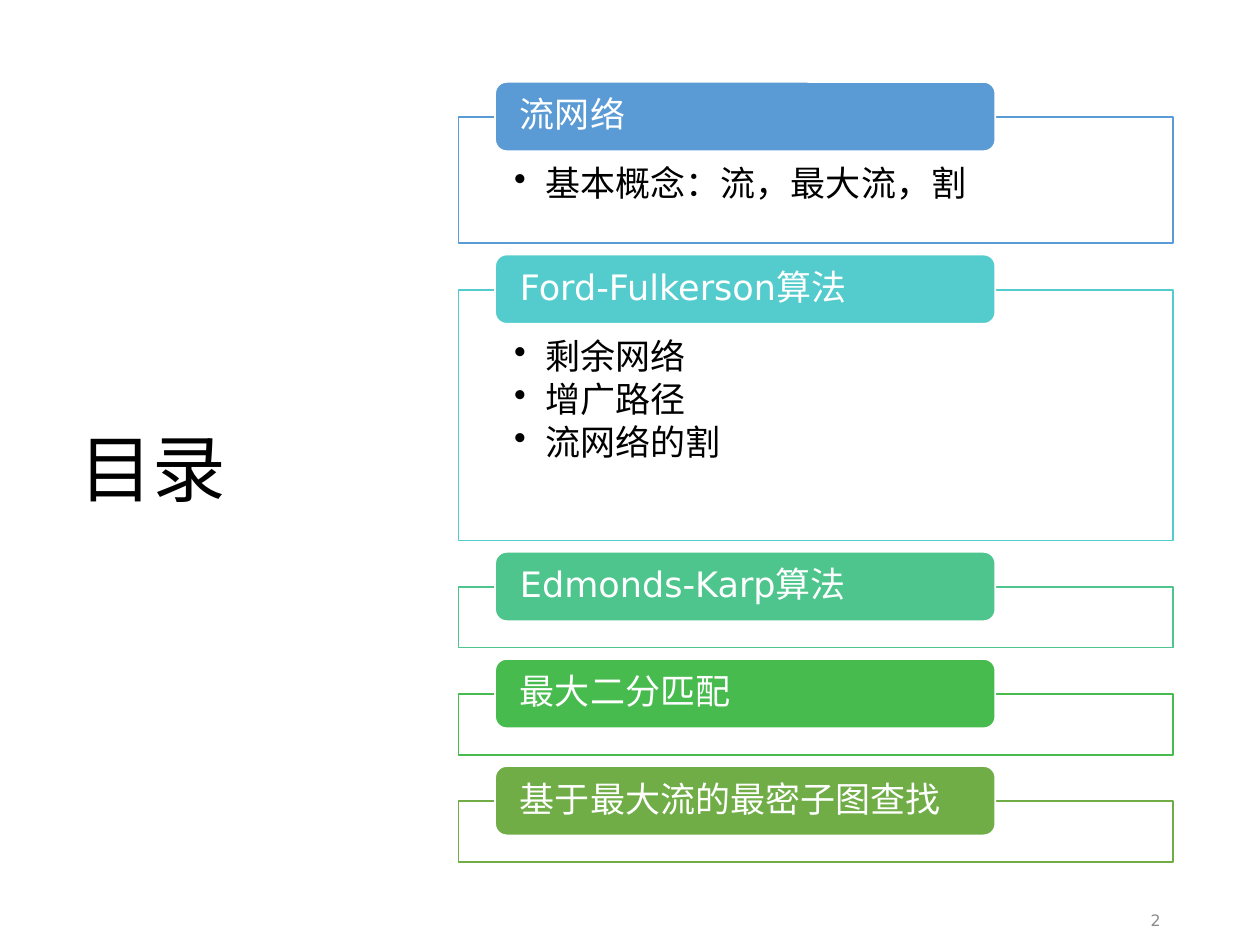
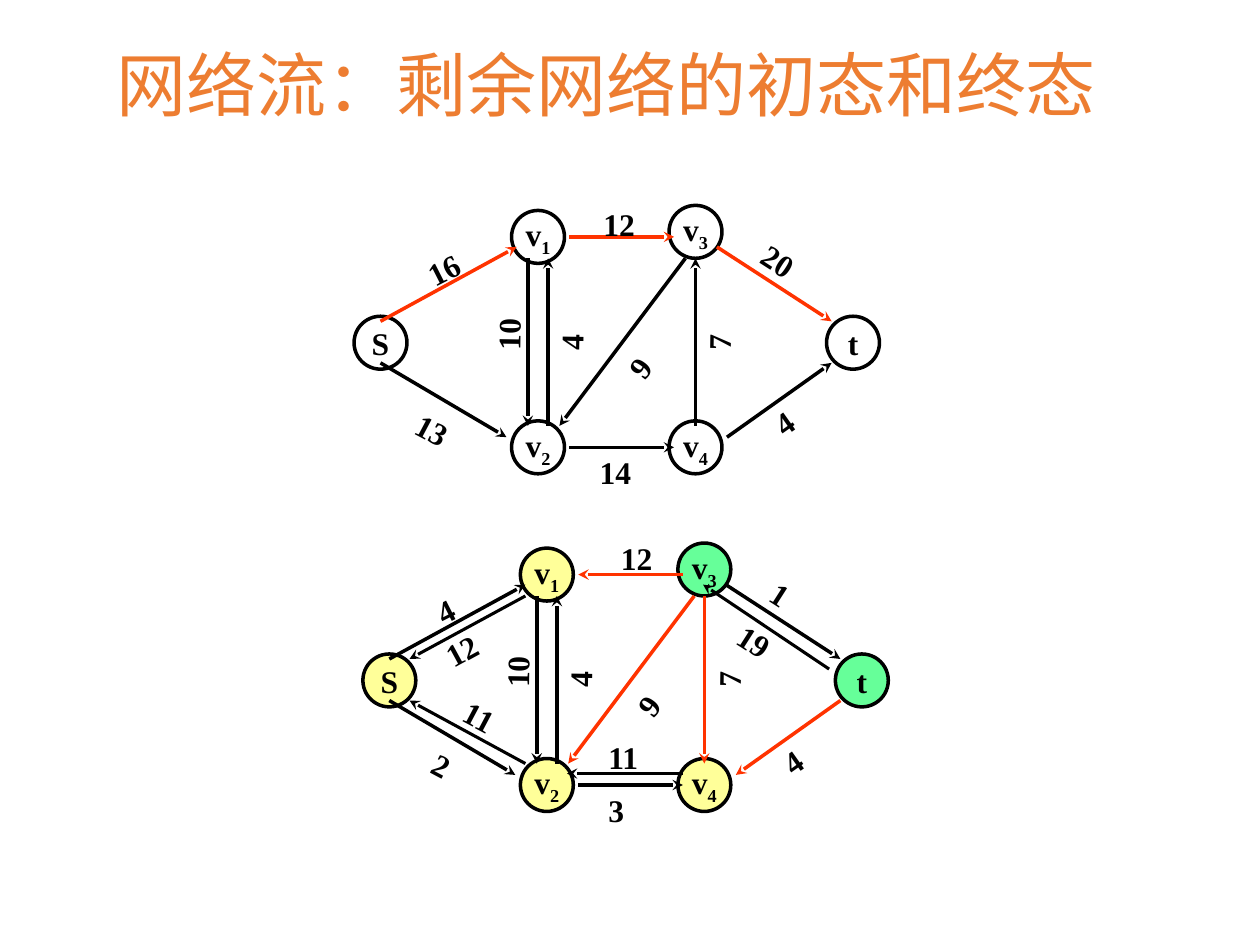
from dataclasses import dataclass

import pptx
import pptx.dml.color
import pptx.enum.shapes
import pptx.enum.text
import pptx.oxml.ns
import pptx.util
from lxml import etree

SHAPE = pptx.enum.shapes.MSO_SHAPE
ANCHOR = pptx.enum.text.MSO_ANCHOR
ALIGN = pptx.enum.text.PP_ALIGN
qn = pptx.oxml.ns.qn


@dataclass(frozen=True)
class Theme:
    px: int = 9144  # 100 px to the inch
    sans: str = "DejaVu Sans"
    mono: str = "DejaVu Sans Mono"
    serif: str = "Times New Roman"
    black: str = "000000"
    white: str = "FFFFFF"
    grey: str = "8C8C8C"
    orange: str = "ED7D31"
    red: str = "FF3300"
    yellow: str = "FFFF99"
    green: str = "66FF99"
    sections: tuple = ("5B9BD5", "54CCCD", "4DC58D", "48BB4F", "70AD47")
    contents_size: int = 42
    title_size: int = 40
    body_size: int = 20
    graph_size: int = 18
    footer_size: int = 9


def rgb(color):
    return pptx.dml.color.RGBColor.from_string(color)


def apply(target, values):
    for name, value in values.items():
        setattr(target, name, value)


class Deck:
    """Holds the theme and the slide being drawn."""

    def __init__(self, theme):
        self.theme = theme
        self.presentation = pptx.Presentation()
        self.presentation.slide_width = self.emu(1000)
        self.presentation.slide_height = self.emu(750)
        self.slide = None

    def emu(self, px):
        return pptx.util.Emu(px * self.theme.px)

    def new_slide(self):
        self.slide = self.presentation.slides.add_slide(self.presentation.slide_layouts[6])

    def fill_text(self, frame, paragraphs, size, color, face, bold=False,
                  bullet=False, layout=None, margins=None, **frame_format):
        """Fill a text frame; a paragraph is a string or a (base, subscript) pair."""
        apply(frame, {"word_wrap": True, **frame_format})
        if margins:
            sides = ("margin_left", "margin_top", "margin_right", "margin_bottom")
            apply(frame, {side: self.emu(px) for side, px in zip(sides, margins)})
        for index, content in enumerate(paragraphs):
            paragraph = frame.add_paragraph() if index else frame.paragraphs[0]
            apply(paragraph, {"alignment": ALIGN.LEFT, **(layout or {})})
            if bullet:
                properties = paragraph._p.get_or_add_pPr()
                properties.set("marL", str(self.emu(25)))
                properties.set("indent", str(self.emu(-25)))
                etree.SubElement(properties, qn("a:buChar")).set("char", "•")
            pieces = (content,) if isinstance(content, str) else content
            for position, piece in enumerate(pieces):
                run = paragraph.add_run()
                run.text = piece
                apply(run.font, {"size": pptx.util.Pt(size), "name": face, "bold": bold})
                run.font.color.rgb = rgb(color)
                if position:
                    run._r.get_or_add_rPr().set("baseline", "-25000")

    def text(self, box, paragraphs, size, color, face, angle=0, **style):
        textbox = self.slide.shapes.add_textbox(*map(self.emu, box))
        textbox.rotation = angle
        self.fill_text(textbox.text_frame, paragraphs, size, color, face, **style)

    def title(self, box, words, size, color):
        self.text(box, [words], size, color, self.theme.mono,
                  vertical_anchor=ANCHOR.MIDDLE, layout={"line_spacing": 0.9})

    def shape(self, kind, box, fill, outline, weight, opacity=100):
        shape = self.slide.shapes.add_shape(kind, *map(self.emu, box))
        shape.shadow.inherit = False
        shape.fill.solid()
        shape.fill.fore_color.rgb = rgb(fill)
        shape.line.color.rgb = rgb(outline)
        shape.line.width = pptx.util.Pt(weight)
        if opacity < 100:
            color = shape._element.spPr.find(qn("a:solidFill"))[0]
            etree.SubElement(color, qn("a:alpha")).set("val", str(opacity * 1000))
        return shape

    def arrow(self, start, end, color, weight):
        connector = self.slide.shapes.add_connector(
            pptx.enum.shapes.MSO_CONNECTOR.STRAIGHT, *map(self.emu, (*start, *end)))
        connector.line.color.rgb = rgb(color)
        connector.line.width = pptx.util.Pt(weight)
        etree.SubElement(connector.line._get_or_add_ln(), qn("a:tailEnd")).set("type", "stealth")
        etree.SubElement(connector._element.spPr, qn("a:effectLst"))

    def section(self, top, height, color, heading, points):
        theme = self.theme
        frame = self.shape(SHAPE.RECTANGLE, (364, top, 567, height), theme.white, color, 1, 90)
        if points:
            self.fill_text(frame.text_frame, points, theme.body_size, theme.black, theme.sans,
                           bullet=True, margins=(44, 39, 44, 16), vertical_anchor=ANCHOR.TOP,
                           layout={"line_spacing": 0.9, "space_after": pptx.util.Pt(3)})
        tab = self.shape(SHAPE.ROUNDED_RECTANGLE, (393, top - 28, 397, 55),
                         color, theme.white, 1)
        self.fill_text(tab.text_frame, [heading], theme.body_size, theme.white, theme.sans,
                       margins=(17, 0, 17, 0), vertical_anchor=ANCHOR.MIDDLE,
                       layout={"line_spacing": 0.9})

    def node(self, corner, name, fill):
        theme = self.theme
        circle = self.shape(SHAPE.OVAL, (*corner, 42, 42), fill, theme.black, 2)
        self.fill_text(circle.text_frame, [tuple(name)], theme.graph_size, theme.black,
                       theme.serif, bold=True, word_wrap=False,
                       vertical_anchor=ANCHOR.MIDDLE, layout={"alignment": ALIGN.CENTER})

    def edge_label(self, corner, angle, words):
        theme = self.theme
        self.text((*corner, 75, 40), [words], theme.graph_size, theme.black,
                  theme.serif, angle=angle, bold=True)

    def network(self, offset, fills, edges):
        """Draw one residual network, moved by offset."""
        def move(point):
            return point[0] + offset[0], point[1] + offset[1]

        for name, corner in NODES.items():
            self.node(move(corner), name, fills[name])
        for route, (capacity, color) in edges.items():
            start, end, spot, angle, weight = ROUTES[route]
            self.arrow(move(start), move(end), color, weight)
            self.edge_label(move(spot), angle, capacity)


THEME = Theme()

# Contents: heading, points, frame height
SECTIONS = [
    ("流网络", ["基本概念：流，最大流，割"], 100),
    ("Ford-Fulkerson算法", ["剩余网络", "增广路径", "流网络的割"], 199),
    ("Edmonds-Karp算法", [], 48),
    ("最大二分匹配", [], 48),
    ("基于最大流的最密子图查找", [], 48),
]
SECTION_GAP = 37

# Network geometry: node corners, then arrow start and end, label corner, angle, weight
NODES = {"S": (281, 251), "t": (656, 251), "v1": (406, 167),
         "v2": (406, 334), "v3": (531, 163), "v4": (531, 334)}
ROUTES = {
    "v1 v3": ((452, 188), (535, 188), (469, 158), 0, 2),
    "v2 v4": ((452, 355), (535, 355), (466, 355), 0, 2),
    "S v1": ((302, 255), (410, 196), (328, 187), 333.1, 2),
    "S v2": ((302, 288), (402, 347), (319, 328), 27.9, 2),
    "v1 v2": ((419, 205), (419, 338), (366, 230), 270.9, 2),
    "v2 v1": ((435, 338), (435, 205), (416, 230), 270.9, 2),
    "v4 v3": ((552, 338), (552, 205), (533, 230), 270.9, 2),
    "v3 v2": ((544, 205), (444, 338), (483, 255), 307.4, 2),
    "v3 t": ((569, 196), (660, 255), (593, 195), 32.6, 2),
    "v4 t": ((577, 347), (660, 288), (602, 303), 324.7, 2),
    "v1 S": ((410, 205), (318, 255), (335, 221), 331.4, 1.75),
    "t v3": ((651, 263), (551, 196), (567, 229), 32.6, 1.75),
    "v4 v2": ((535, 346), (443, 346), (466, 313), 0, 1.75),
    "v2 S": ((410, 338), (318, 288), (350, 288), 27.9, 1.75),
}
# Routes whose residual arrow runs the other way along the same line
for forward, backward, spot in (("v1 v3", "v3 v1", (476, 155)),
                                ("v4 v3", "v3 v4", (534, 230)),
                                ("v4 t", "t v4", (602, 304))):
    start, end, _, angle, weight = ROUTES[forward]
    ROUTES[backward] = (end, start, spot, angle, weight)
# The final one-digit label sits a little further along its arrow
ROUTES["S v2 final"] = (*ROUTES["S v2"][:2], (325, 329), *ROUTES["S v2"][3:])

BLACK, RED = THEME.black, THEME.red
INITIAL_EDGES = {
    "v1 v3": ("12", RED), "v2 v4": ("14", BLACK), "S v1": ("16", RED),
    "S v2": ("13", BLACK), "v1 v2": ("10", BLACK), "v2 v1": ("4", BLACK),
    "v4 v3": ("7", BLACK), "v3 v2": ("9", BLACK), "v3 t": ("20", RED),
    "v4 t": ("4", BLACK),
}
FINAL_EDGES = {
    "v3 v1": ("12", RED), "v2 v4": ("3", BLACK), "S v1": ("4", BLACK),
    "S v2 final": ("2", BLACK), "v1 v2": ("10", BLACK), "v2 v1": ("4", BLACK),
    "v3 v4": ("7", RED), "v3 v2": ("9", RED), "v3 t": ("1", BLACK),
    "t v4": ("4", RED), "v1 S": ("12", BLACK), "t v3": ("19", BLACK),
    "v4 v2": ("11", BLACK), "v2 S": ("11", BLACK),
}


def contents_slide(deck):
    deck.new_slide()
    deck.title((53, 120, 311, 510), "目录", THEME.contents_size, THEME.black)
    deck.text((706, 710, 225, 40), ["2"], THEME.footer_size, THEME.grey, THEME.sans,
              vertical_anchor=ANCHOR.MIDDLE, layout={"alignment": ALIGN.RIGHT})
    top = 93
    for color, (heading, points, height) in zip(THEME.sections, SECTIONS):
        deck.section(top, height, color, heading, points)
        top += height + SECTION_GAP


def residual_slide(deck):
    deck.new_slide()
    deck.title((83, -2, 862, 145), "网络流：剩余网络的初态和终态",
               THEME.title_size, THEME.orange)
    # Initial state
    deck.network((0, 0), dict.fromkeys(NODES, THEME.white), INITIAL_EDGES)
    # Final state: the sink side of the cut is green
    sides = {name: THEME.green if name in ("t", "v3") else THEME.yellow for name in NODES}
    deck.network((7, 268), sides, FINAL_EDGES)


def main():
    deck = Deck(THEME)
    contents_slide(deck)
    residual_slide(deck)
    deck.presentation.save("out.pptx")


if __name__ == "__main__":
    main()
